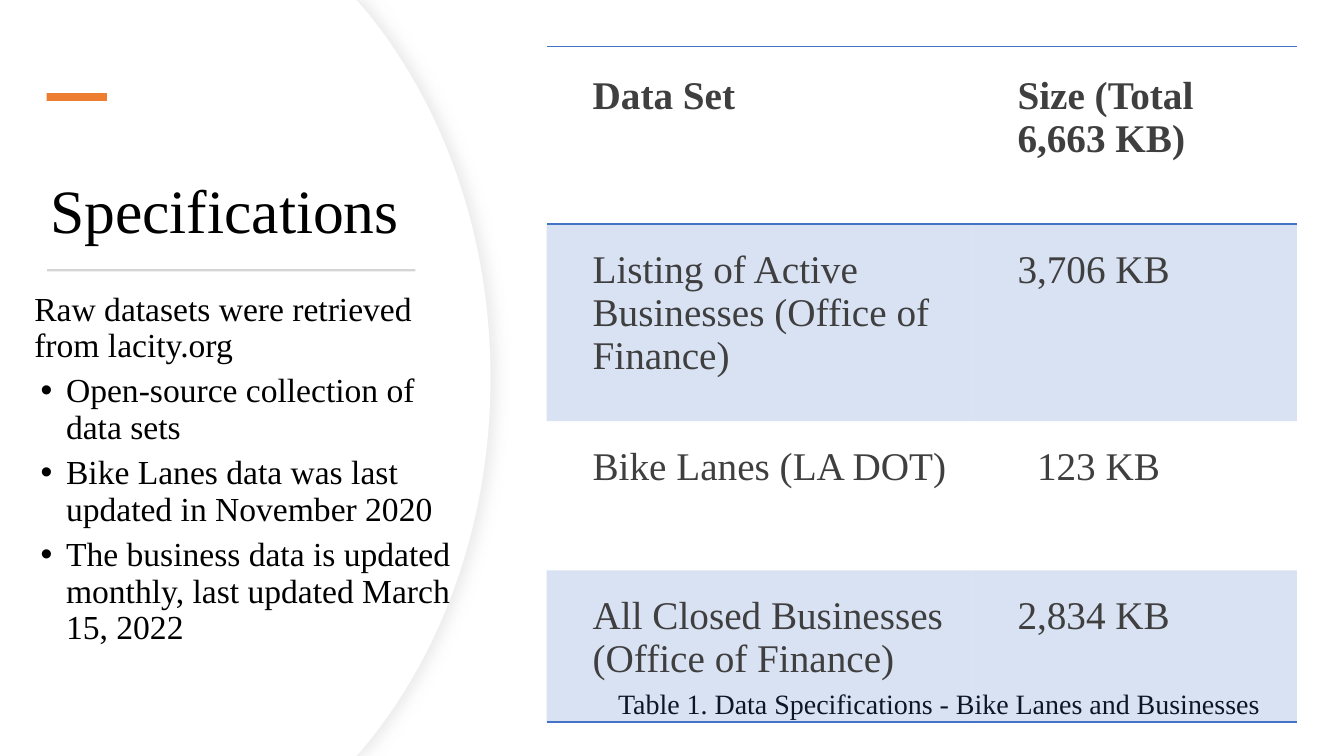
from lxml.etree import SubElement
from pptx import Presentation
from pptx.dml.color import RGBColor
from pptx.enum.shapes import MSO_SHAPE
from pptx.enum.text import MSO_ANCHOR, MSO_AUTO_SIZE, PP_ALIGN
from pptx.oxml import parse_xml
from pptx.oxml.ns import nsdecls, qn
from pptx.util import Cm, Pt

# Content
TITLE = "Specifications"
INTRO = "Raw datasets were retrieved from lacity.org"
POINTS = [
    "Open-source collection of data sets",
    "Bike Lanes data was last updated in November 2020",
    "The business data is updated monthly, last updated March 15, 2022",
]
CAPTION = "Table 1. Data Specifications - Bike Lanes and Businesses "
ROWS = [
    ("Data Set", "Size (Total 6,663 KB)"),
    ("Listing of Active Businesses (Office of Finance)", "3,706 KB"),
    ("Bike Lanes (LA DOT)", "123 KB"),
    ("All Closed Businesses (Office of Finance)", "2,834 KB"),
]
COLS = (8.03, 6.15)
HEIGHTS = (3.35, 3.73, 2.82, 2.87)
SHORT = (2, 1)  # cell whose number is set in to line up
COLORS = {
    "paper": "FFFFFF", "edge": "EFEFEF", "shade": "D8D8D8", "ink": "000000",
    "accent": "ED7D31", "rule": "D5D5D5", "blue": "4472C4", "cell": "3F3F3F",
}
FONT = "Times New Roman"
WIDTH, HEIGHT = 25.4, 14.29
PLAIN = "{2D5ABB26-0587-4C30-8999-92F81FD0307C}"  # table style without grid


def color(name):
    return RGBColor.from_string(COLORS[name])


def write(para, text, size, name="ink", bold=False):
    run = para.add_run()
    run.text = text
    font = run.font
    font.name, font.size, font.bold = FONT, Pt(size), bold
    font.color.rgb = color(name)


def frame(shape):
    text = shape.text_frame
    text.word_wrap = True
    text.auto_size = MSO_AUTO_SIZE.NONE
    text.margin_left = text.margin_right = Cm(0.19)
    text.margin_top = text.margin_bottom = Cm(0.1)
    return text


def place(shape, *box):
    shape.left, shape.top, shape.width, shape.height = map(Cm, box)


def box(slide, *area):
    return frame(slide.shapes.add_textbox(*map(Cm, area)))


def paint(shape, name):
    shape.shadow.inherit = False
    shape.fill.solid()
    shape.fill.fore_color.rgb = color(name)
    shape.line.fill.background()


def bend(lines):
    """Turn three straight steps into one cubic curve."""
    curve = parse_xml(f'<a:cubicBezTo {nsdecls("a")}/>')
    lines[0].addprevious(curve)
    for line in lines:
        curve.append(line[0])
        line.getparent().remove(line)


def panel(slide, top):
    """White panel with a bulging right side, mirrored about mid-height."""
    half = [(top, 0), (top + 0.13, 0.15), (8.36, 1.93), (9.27, 4.42)]
    lower = [(x, HEIGHT - y) for x, y in reversed(half)]
    points = half + [(9.27, HEIGHT / 2)] + lower + [(0, HEIGHT)]
    build = slide.shapes.build_freeform(0, 0)
    build.add_line_segments([(Cm(x), Cm(y)) for x, y in points], close=True)
    shape = build.convert_to_shape()
    paint(shape, "paper")
    lines = list(shape._element.spPr.iter(qn("a:lnTo")))
    bend(lines[2:5])
    bend(lines[5:8])
    return shape


def bar(slide, name, *area):
    paint(slide.shapes.add_shape(MSO_SHAPE.RECTANGLE, *map(Cm, area)), name)


def bullet(para):
    props = para._p.get_or_add_pPr()
    props.set("marL", str(Cm(0.6)))
    props.set("indent", str(-Cm(0.48)))
    tint = SubElement(props, qn("a:buClr"))
    SubElement(tint, qn("a:srgbClr")).set("val", COLORS["ink"])
    SubElement(props, qn("a:buFont")).set("typeface", "Arial")
    SubElement(props, qn("a:buChar")).set("char", "•")


def border(cell, side):
    cell._tc.get_or_add_tcPr().insert(0, parse_xml(
        f'<a:{side} {nsdecls("a")} w="{Pt(1)}"><a:solidFill>'
        f'<a:srgbClr val="{COLORS["blue"]}"/></a:solidFill></a:{side}>'))


def fill_cell(cell, row, col):
    head = row == 0
    pad = Cm(0.53 if head else 0.46)
    cell.margin_top = cell.margin_right = cell.margin_bottom = pad
    cell.margin_left = Cm(1.24 if (row, col) == SHORT else 0.87)
    write(cell.text_frame.paragraphs[0], ROWS[row][col], 21, "cell", head)
    if row % 2:
        cell.fill.solid()
        cell.fill.fore_color.rgb = color("blue")
        tint = cell._tc.tcPr.find(".//" + qn("a:srgbClr"))
        SubElement(tint, qn("a:alpha")).set("val", "20000")
    else:
        cell.fill.background()
    if row in (0, len(ROWS) - 1):
        border(cell, "lnB")
    if head:
        border(cell, "lnT")


def main():
    deck = Presentation()
    deck.slide_width, deck.slide_height = Cm(WIDTH), Cm(HEIGHT)
    slide = deck.slides.add_slide(deck.slide_layouts[5])

    # Curved panel: shaded back, clean front
    back = panel(slide, 6.76)
    back.line.color.rgb = color("edge")
    back.line.width = Pt(0.75)
    effect = back._element.spPr.find(qn("a:effectLst"))
    effect.append(parse_xml(
        f'<a:outerShdw {nsdecls("a")} blurRad="{Pt(7)}" dist="{Pt(3)}" dir="0">'
        f'<a:srgbClr val="{COLORS["shade"]}"><a:alpha val="50000"/></a:srgbClr>'
        '</a:outerShdw>'))
    panel(slide, 6.73)

    # Title, moved in front of the panel
    title = slide.shapes.title
    slide.shapes._spTree.append(title._element)
    place(title, 0.76, 2.42, 7.16, 2.34)
    text = frame(title)
    text.vertical_anchor = MSO_ANCHOR.BOTTOM
    para = text.paragraphs[0]
    para.alignment, para.line_spacing = PP_ALIGN.LEFT, 0.9
    write(para, TITLE, 33)

    # Accent and rule
    bar(slide, "accent", 0.88, 1.76, 1.14, 0.15)
    bar(slide, "rule", 0.89, 5.09, 6.96, 0.04)

    # Notes on the data
    text = box(slide, 0.46, 5.42, 8.66, 7.65)
    para = text.paragraphs[0]
    para.line_spacing = 0.9
    write(para, INTRO, 18)
    for point in POINTS:
        para = text.add_paragraph()
        bullet(para)
        para.line_spacing, para.space_before = 0.9, Pt(5)
        write(para, point, 18)

    # Caption
    para = box(slide, 11.43, 12.95, 12.78, 0.76).paragraphs[0]
    para.alignment, para.line_spacing = PP_ALIGN.CENTER, 0.9
    write(para, CAPTION, 15)

    # Table
    area = map(Cm, (10.33, 0.88, sum(COLS), sum(HEIGHTS)))
    table = slide.shapes.add_table(len(ROWS), len(COLS), *area).table
    table._tbl.tblPr.find(qn("a:tableStyleId")).text = PLAIN
    table.first_row = table.horz_banding = False
    for col, width in enumerate(COLS):
        table.columns[col].width = Cm(width)
    for row, height in enumerate(HEIGHTS):
        table.rows[row].height = Cm(height)
        for col in range(len(COLS)):
            fill_cell(table.cell(row, col), row, col)

    deck.save("out.pptx")


if __name__ == "__main__":
    main()
